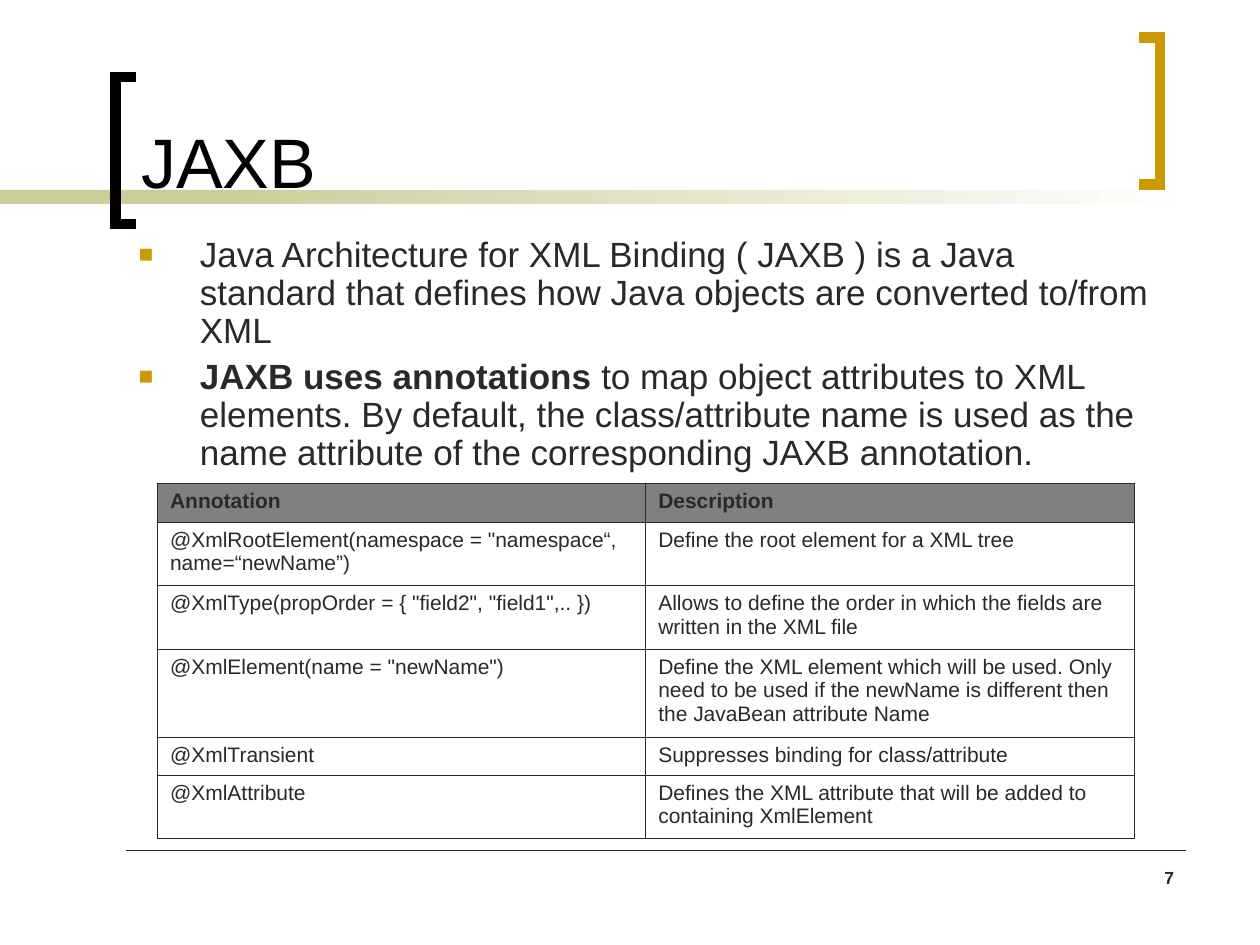
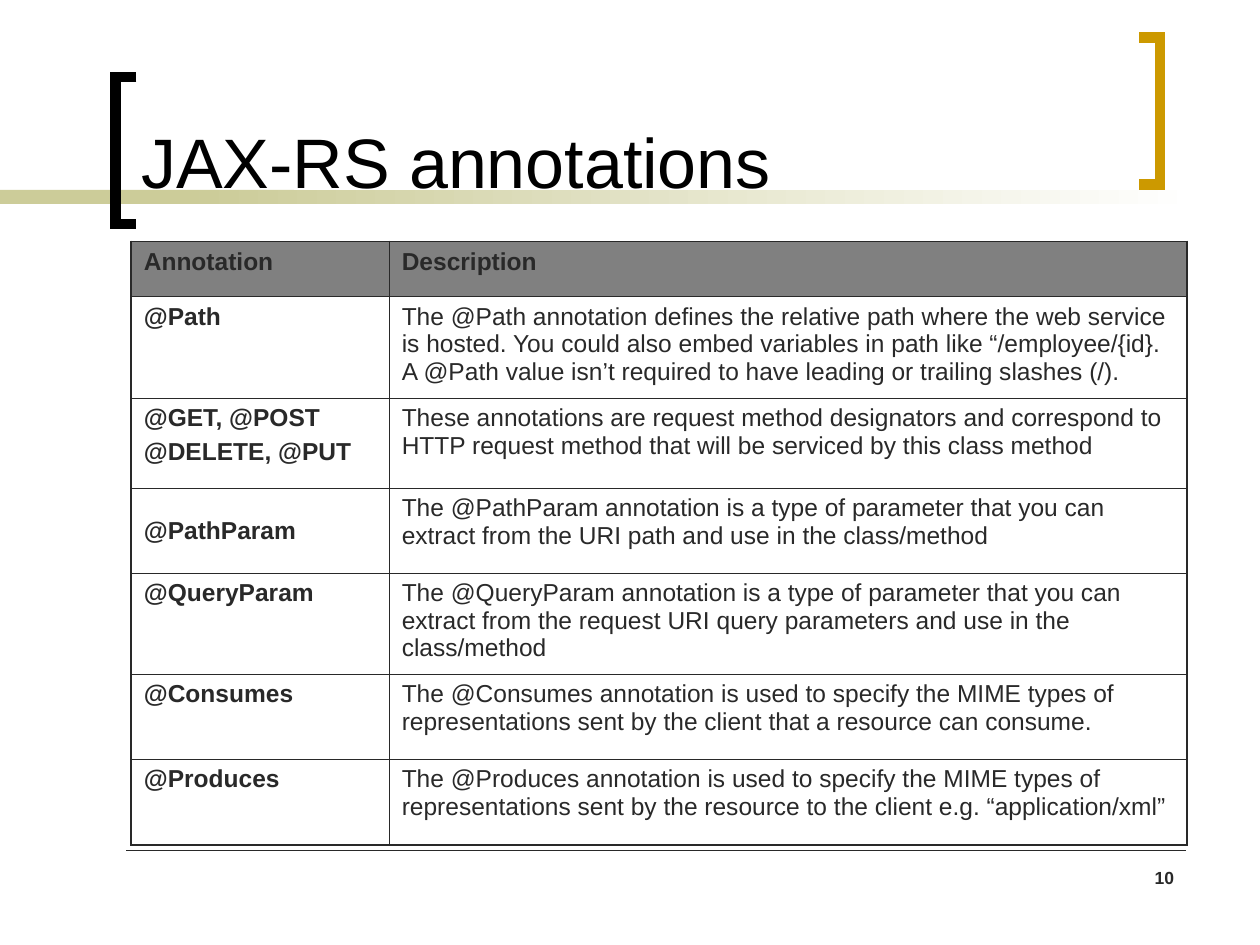
from dataclasses import dataclass
from typing import Any

from lxml import etree
from pptx import Presentation
from pptx.dml.color import RGBColor
from pptx.enum.shapes import MSO_CONNECTOR, MSO_SHAPE
from pptx.enum.text import MSO_ANCHOR, MSO_AUTO_SIZE, PP_ALIGN
from pptx.oxml.ns import qn
from pptx.util import Pt

RECTANGLE = MSO_SHAPE.RECTANGLE
STRAIGHT = MSO_CONNECTOR.STRAIGHT
TOP, MIDDLE, BOTTOM = MSO_ANCHOR.TOP, MSO_ANCHOR.MIDDLE, MSO_ANCHOR.BOTTOM
LEFT, RIGHT = PP_ALIGN.LEFT, PP_ALIGN.RIGHT
NO_AUTOFIT = MSO_AUTO_SIZE.NONE

FONT = "Arial"
COLORS = {
    "white": "FFFFFF",
    "black": "000000",
    "ink": "292929",
    "gold": "CC9900",
    "sand": "CCCC99",
    "header": "808080",
}
TITLE_LAYOUT, BODY_LAYOUT = 5, 1
THIN, THICK = 0.45, 1.08


@dataclass(frozen=True)
class Box:
    """Position and size in points."""
    left: float
    top: float
    width: float
    height: float


@dataclass(frozen=True)
class Bracket:
    """Square bracket whose arms reach from the spine to the arm end."""
    arm_end: float
    spine: float
    top: float
    color: str
    height: float = 84


@dataclass(frozen=True)
class Bullet:
    text: str
    bold_lead: str = ""


@dataclass(frozen=True)
class AnnotationTable:
    left: float
    top: float
    columns: tuple[float, ...]
    row_heights: tuple[float, ...]
    rows: tuple[tuple[str, str], ...]
    size: float
    outer_border: float = THIN
    bold_names: bool = False
    middle_rows: tuple[int, ...] = ()


@dataclass(frozen=True)
class Page:
    title: str
    number: int
    table: AnnotationTable
    bullets: tuple[Bullet, ...] = ()


TITLE_BOX = Box(73.5, 8, 564, 111.5)
BODY_BOX = Box(72, 132, 597.5, 150)
NUMBER_BOX = Box(528, 492, 150, 36)
BAND_SOLID = Box(0, 108.5, 168, 8)
BAND_FADE = Box(114, 108.5, 570, 8)
BRACKETS = (Bracket(78, 66, 44, "black"), Bracket(651, 663, 21.5, "gold"))

TABLE_HEADER = ("Annotation", "Description")

PAGES = (
    Page(
        "JAXB", 7,
        AnnotationTable(
            90, 276, (279, 279), (22.2, 36.2, 36.4, 50.3, 21.7, 36.4),
            (
                TABLE_HEADER,
                ('@XmlRootElement(namespace = "namespace“, name=“newName”)',
                 "Define the root element for a XML tree"),
                ('@XmlType(propOrder = { "field2", "field1",.. })',
                 "Allows to define the order in which the fields are written in the XML file"),
                ('@XmlElement(name = "newName")',
                 "Define the XML element which will be used. Only need to be used if the "
                 "newName is different then the JavaBean attribute Name"),
                ("@XmlTransient", "Suppresses binding for class/attribute"),
                ("@XmlAttribute",
                 "Defines the XML attribute that will be added to containing XmlElement"),
            ),
            size=12,
        ),
        (
            Bullet("Java Architecture for XML Binding ( JAXB ) is a Java standard that "
                   "defines how Java objects are converted to/from XML"),
            Bullet(" to map object attributes to XML elements. By default, the "
                   "class/attribute name is used as the name attribute of the "
                   "corresponding JAXB annotation.", bold_lead="JAXB uses annotations"),
        ),
    ),
    Page(
        "JAX-RS annotations", 10,
        AnnotationTable(
            75, 138, (147.4, 455.8), (31.5, 58, 51.5, 48.5, 57.8, 48.5, 49),
            (
                TABLE_HEADER,
                ("@Path",
                 "The @Path annotation defines the relative path where the web service is "
                 "hosted. You could also embed variables in path like “/employee/{id}. "
                 "A @Path value isn’t required to have leading or trailing slashes (/)."),
                ("@GET, @POST\n@DELETE, @PUT",
                 "These annotations are request method designators and correspond to HTTP "
                 "request method that will be serviced by this class method"),
                ("@PathParam",
                 "The @PathParam annotation is a type of parameter that you can extract "
                 "from the URI path and use in the class/method"),
                ("@QueryParam",
                 "The @QueryParam annotation is a type of parameter that you can extract "
                 "from the request URI query parameters and use in the class/method"),
                ("@Consumes",
                 "The @Consumes annotation is used to specify the MIME types of "
                 "representations sent by the client that a resource can consume."),
                ("@Produces",
                 "The @Produces annotation is used to specify the MIME types of "
                 "representations sent by the resource to the client e.g. "
                 "“application/xml”"),
            ),
            size=14, outer_border=THICK, bold_names=True, middle_rows=(3,),
        ),
    ),
)


def rgb(name: str) -> RGBColor:
    return RGBColor.from_string(COLORS[name])


def apply(target: Any, **values: Any) -> None:
    for name, value in values.items():
        setattr(target, name, value)


def extent(box: Box) -> tuple[Pt, Pt, Pt, Pt]:
    return Pt(box.left), Pt(box.top), Pt(box.width), Pt(box.height)


def place(shape: Any, box: Box) -> None:
    left, top, width, height = extent(box)
    apply(shape, left=left, top=top, width=width, height=height)


def add_run(paragraph: Any, text: str, size: float, color: str = "ink",
            bold: bool = False) -> None:
    run = paragraph.add_run()
    run.text = text
    apply(run.font, name=FONT, size=Pt(size), bold=bold)
    run.font.color.rgb = rgb(color)


def add_band(slide: Any, box: Box, fades: bool) -> None:
    band = slide.shapes.add_shape(RECTANGLE, *extent(box))
    band.shadow.inherit = False
    band.line.fill.background()
    if fades:
        band.fill.gradient()
        band.fill.gradient_angle = 180
        for stop, color in zip(band.fill.gradient_stops, ("white", "sand")):
            stop.color.rgb = rgb(color)
    else:
        band.fill.solid()
        band.fill.fore_color.rgb = rgb("sand")


def add_bracket(slide: Any, bracket: Bracket) -> None:
    bottom = bracket.top + bracket.height
    corners = ((bracket.spine, bracket.top), (bracket.spine, bottom),
               (bracket.arm_end, bottom))
    builder = slide.shapes.build_freeform(Pt(bracket.arm_end), Pt(bracket.top))
    builder.add_line_segments([(Pt(x), Pt(y)) for x, y in corners], close=False)
    shape = builder.convert_to_shape()
    shape.shadow.inherit = False
    shape.fill.background()
    shape.line.color.rgb = rgb(bracket.color)
    shape.line.width = Pt(6)
    outline = shape._element.spPr.find(qn("a:ln"))
    etree.SubElement(outline, qn("a:miter"), lim="800000")


def add_footer(slide: Any, number: int) -> None:
    rule = slide.shapes.add_connector(STRAIGHT, Pt(72), Pt(486), Pt(678), Pt(486))
    rule.line.color.rgb = rgb("ink")
    rule.line.width = Pt(0.75)
    etree.SubElement(rule._element.spPr, qn("a:effectLst"))
    frame = slide.shapes.add_textbox(*extent(NUMBER_BOX)).text_frame
    frame.word_wrap = True
    paragraph = frame.paragraphs[0]
    paragraph.alignment = RIGHT
    add_run(paragraph, str(number), 10, bold=True)


def fill_title(slide: Any, text: str) -> None:
    title = slide.shapes.title
    place(title, TITLE_BOX)
    apply(title.text_frame, vertical_anchor=BOTTOM, auto_size=NO_AUTOFIT, word_wrap=True)
    paragraph = title.text_frame.paragraphs[0]
    paragraph.alignment = LEFT
    add_run(paragraph, text, 40, "black")


def add_bullet_mark(paragraph: Any) -> None:
    properties = paragraph._p.get_or_add_pPr()
    indent = Pt(35)
    apply_indent = {"marL": indent, "indent": -indent}
    for name, value in apply_indent.items():
        properties.set(name, str(value))
    color = etree.SubElement(properties, qn("a:buClr"))
    etree.SubElement(color, qn("a:srgbClr"), val=COLORS["gold"])
    etree.SubElement(properties, qn("a:buSzPct"), val="70000")
    etree.SubElement(properties, qn("a:buFont"), typeface=FONT)
    etree.SubElement(properties, qn("a:buChar"), char="■")


def fill_body(slide: Any, bullets: tuple[Bullet, ...]) -> None:
    body = slide.placeholders[1]
    place(body, BODY_BOX)
    frame = body.text_frame
    apply(frame, vertical_anchor=TOP, auto_size=NO_AUTOFIT, word_wrap=True)
    for index, bullet in enumerate(bullets):
        paragraph = frame.add_paragraph() if index else frame.paragraphs[0]
        add_bullet_mark(paragraph)
        apply(paragraph, line_spacing=0.9, space_before=Pt(5 if index else 0))
        if bullet.bold_lead:
            add_run(paragraph, bullet.bold_lead, 20, bold=True)
        add_run(paragraph, bullet.text, 20)


def set_borders(cell: Any, widths: dict[str, float]) -> None:
    properties = cell._tc.get_or_add_tcPr()
    for side, width in widths.items():
        line = etree.SubElement(properties, qn(f"a:ln{side}"), w=str(Pt(width)))
        fill = etree.SubElement(line, qn("a:solidFill"))
        etree.SubElement(fill, qn("a:srgbClr"), val=COLORS["ink"])


def add_annotation_table(slide: Any, spec_table: AnnotationTable) -> None:
    box = Box(spec_table.left, spec_table.top,
              sum(spec_table.columns), sum(spec_table.row_heights))
    last_row, last_column = len(spec_table.rows) - 1, len(spec_table.columns) - 1
    table = slide.shapes.add_table(last_row + 1, last_column + 1, *extent(box)).table
    apply(table, first_row=False, horz_banding=False)
    for column, width in zip(table.columns, spec_table.columns):
        column.width = Pt(width)
    for row, height in zip(table.rows, spec_table.row_heights):
        row.height = Pt(height)

    for r, texts in enumerate(spec_table.rows):
        for c, text in enumerate(texts):
            cell = table.cell(r, c)
            on_edge = {"L": c == 0, "R": c == last_column, "T": r == 0, "B": r == last_row}
            set_borders(cell, {side: spec_table.outer_border if edge else THIN
                               for side, edge in on_edge.items()})
            cell.fill.solid()
            cell.fill.fore_color.rgb = rgb("white" if r else "header")
            is_name = c == 0
            if is_name and r in spec_table.middle_rows:
                cell.vertical_anchor = MIDDLE
            bold = r == 0 or (is_name and spec_table.bold_names)
            for index, line in enumerate(text.split("\n")):
                frame = cell.text_frame
                paragraph = frame.add_paragraph() if index else frame.paragraphs[0]
                paragraph.space_before = Pt(spec_table.size / 4 if index else 0)
                add_run(paragraph, line, spec_table.size, bold=bold)


def add_page(presentation: Any, page: Page) -> None:
    layout = BODY_LAYOUT if page.bullets else TITLE_LAYOUT
    slide = presentation.slides.add_slide(presentation.slide_layouts[layout])
    add_band(slide, BAND_SOLID, fades=False)
    add_band(slide, BAND_FADE, fades=True)
    for bracket in BRACKETS:
        add_bracket(slide, bracket)
    add_footer(slide, page.number)
    title = slide.shapes.title
    fill_title(slide, page.title)
    slide.shapes._spTree.append(title._element)
    if page.bullets:
        fill_body(slide, page.bullets)
    add_annotation_table(slide, page.table)


def main() -> None:
    presentation = Presentation()
    apply(presentation, slide_width=Pt(720), slide_height=Pt(540))
    for page in PAGES:
        add_page(presentation, page)
    presentation.save("out.pptx")


if __name__ == "__main__":
    main()
